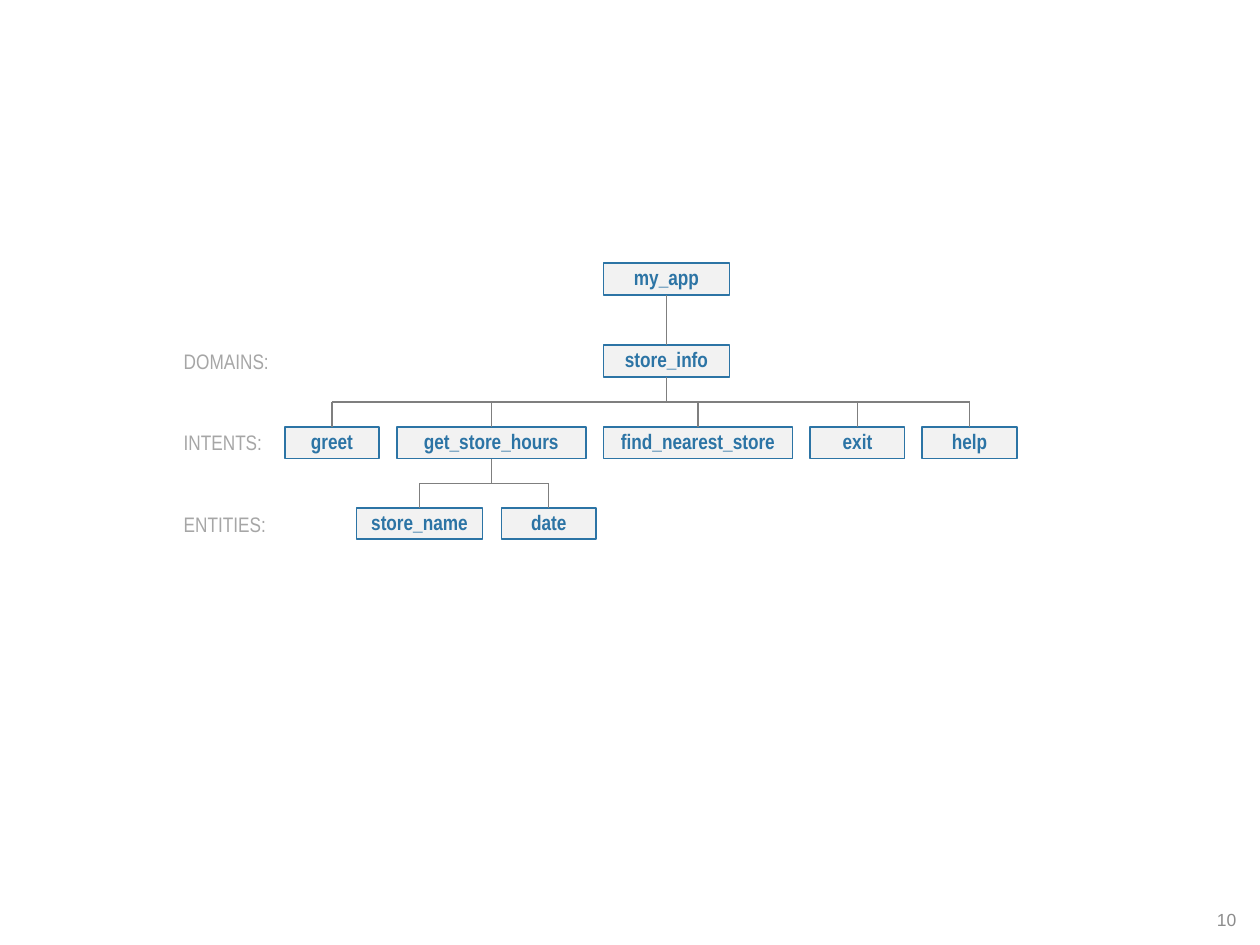
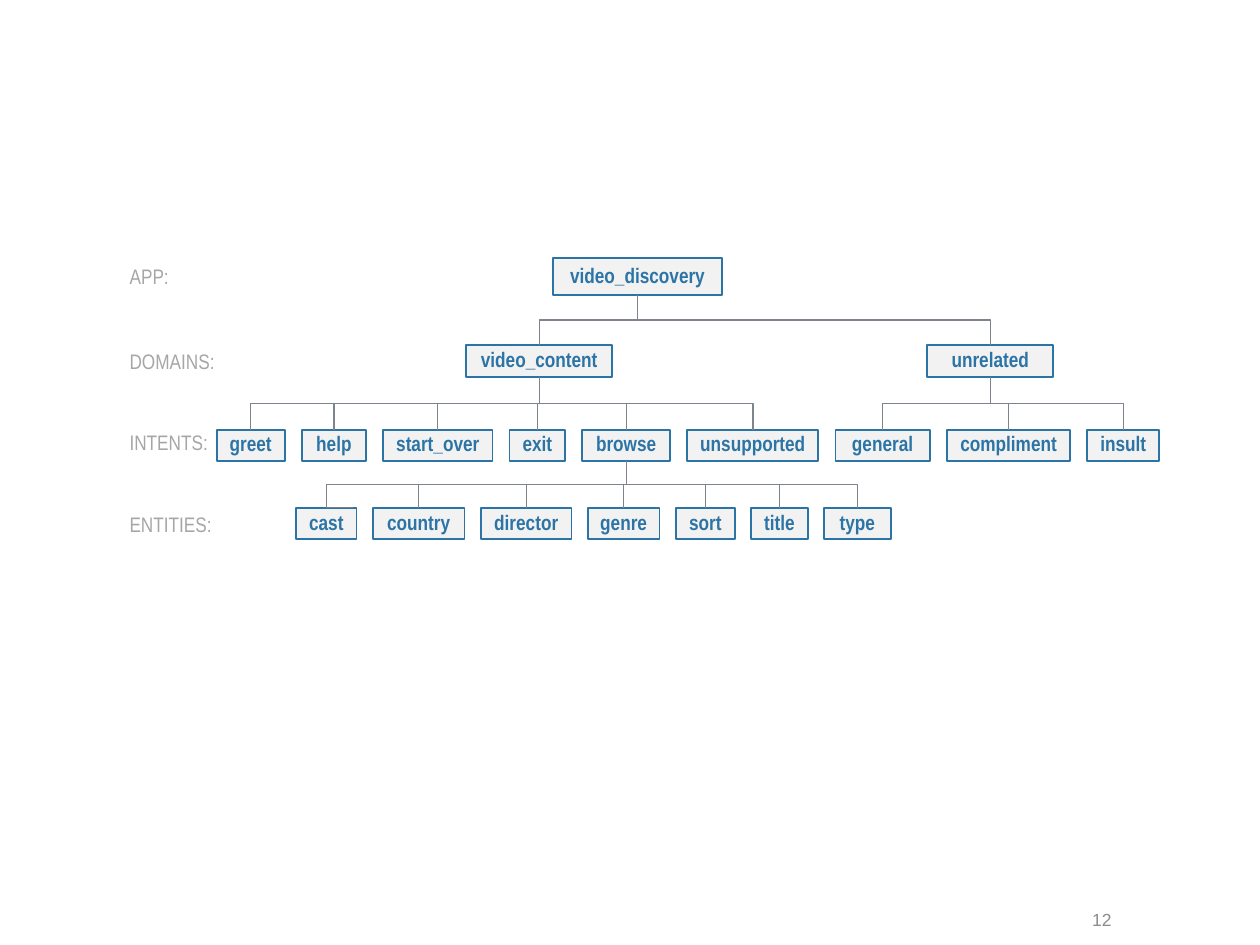
from pptx import Presentation
from pptx.dml.color import RGBColor
from pptx.enum.shapes import MSO_CONNECTOR as Link, MSO_SHAPE as Shape
from pptx.enum.text import MSO_ANCHOR as Anchor, PP_ALIGN as Align
from pptx.oxml.ns import qn
from pptx.util import Inches, Pt
from lxml import etree

BLUE = RGBColor(0x2C, 0x74, 0xA5)
PALE = RGBColor(0xF2, 0xF2, 0xF2)
GRAY = RGBColor(0x7F, 0x7F, 0x7F)
SLATE = RGBColor(0x7E, 0x84, 0x8D)
LABEL = RGBColor(0xA6, 0xA6, 0xA6)
FOOT = RGBColor(0x8C, 0x8C, 0x8C)
WIDTHS = {"APP:": 0.52, "DOMAINS:": 0.88, "INTENTS:": 0.83, "ENTITIES:": 0.86}


def write(shape, text, size=12, font="Arial Narrow", color=LABEL, bold=False,
          align=Align.LEFT, wrap=True):
    """Put one formatted line of text in a shape."""
    frame = shape.text_frame
    frame.word_wrap = wrap
    frame.vertical_anchor = Anchor.MIDDLE
    para = frame.paragraphs[0]
    para.alignment = align
    run = para.add_run()
    run.text = text
    run.font.size, run.font.name, run.font.bold = Pt(size), font, bold
    run.font.color.rgb = color


def node(slide, text, left, top, width, height):
    """Draw one named box of a tree."""
    box = slide.shapes.add_shape(Shape.RECTANGLE, Inches(left), Inches(top),
                                 Inches(width), Inches(height))
    box.shadow.inherit = False
    box.fill.solid()
    box.fill.fore_color.rgb = PALE
    box.line.color.rgb = BLUE
    box.line.width = Pt(1)
    frame = box.text_frame
    frame.margin_top, frame.margin_bottom = 0, Inches(0.03)
    write(box, text, color=BLUE, bold=True, align=Align.CENTER, wrap=False)
    return box


def row(slide, left, top, width, items, height=0.25):
    """Spread boxes over a width with equal gaps."""
    gap = (width - sum(items.values())) / max(len(items) - 1, 1)
    boxes = []
    for text, size in items.items():
        boxes.append(node(slide, text, left, top, size, height))
        left += size + gap
    return boxes


def labels(slide, left, top, tops):
    """Name the levels of a tree down its left side."""
    for text, down in tops.items():
        box = slide.shapes.add_textbox(Inches(left), Inches(top + down),
                                       Inches(WIDTHS[text]), Inches(0.3))
        write(box, text, wrap=False)


def wire(slide, start, end, color, kind=Link.STRAIGHT):
    """Draw a thin connector without a shadow."""
    line = slide.shapes.add_connector(kind, *start, *end)
    line.line.color.rgb = color
    line.line.width = Pt(0.75)
    etree.SubElement(line._element.spPr, qn("a:effectLst"))
    return line


def foot(box):
    """Find the middle of a box's lower side."""
    return box.left + box.width // 2, box.top + box.height


def head(box):
    """Find the middle of a box's upper side."""
    return box.left + box.width // 2, box.top


def join(slide, upper, lower):
    """Link two stacked boxes with a straight line."""
    line = wire(slide, foot(upper), head(lower), GRAY)
    line.begin_connect(upper, 2)
    line.end_connect(lower, 0)


def comb(slide, upper, kids):
    """Link a box to its children with a trunk, a bar and drops."""
    x, y = foot(upper)
    mid = (y + kids[0].top) // 2
    wire(slide, (x, y), (x, mid), GRAY).begin_connect(upper, 2)
    wire(slide, (head(kids[0])[0], mid), (head(kids[-1])[0], mid), GRAY)
    for kid in kids:
        drop = wire(slide, (head(kid)[0], mid), head(kid), GRAY)
        drop.end_connect(kid, 0)


def fan(slide, upper, kids):
    """Link a box to its children with elbow connectors."""
    for kid in kids:
        (x, y), (end, low) = foot(upper), head(kid)
        line = wire(slide, (x, y), (end, low), SLATE, Link.ELBOW)
        line.begin_connect(upper, 2)
        line.end_connect(kid, 0)
        tall, wide = low - y, abs(end - x)
        line.left, line.top = (x + end - tall) // 2, (y + low - wide) // 2
        line.width, line.height = tall, wide
        form = line._element.spPr.find(qn("a:xfrm"))
        form.set("rot", str((270 if end > x else 90) * 60000))
        form.set("flipH", "1" if end > x else "0")


def number(slide, text, align):
    """Set the page number at the lower right."""
    box = slide.shapes.add_textbox(Inches(7.58), Inches(7.1),
                                   Inches(2.33), Inches(0.4))
    write(box, text, size=10, font="Arial", color=FOOT, align=align)


def store(slide, left, top):
    """Draw the tree of the store app."""
    labels(slide, left, top,
           {"DOMAINS:": 0.63, "INTENTS:": 1.27, "ENTITIES:": 1.92})
    app = node(slide, "my_app", left + 3.43, top, 1, 0.25)
    info = node(slide, "store_info", left + 3.43, top + 0.65, 1, 0.25)
    goals = row(slide, left + 0.9, top + 1.3, 5.81, {
        "greet": 0.75, "get_store_hours": 1.5, "find_nearest_store": 1.5,
        "exit": 0.75, "help": 0.75})
    parts = row(slide, left + 1.47, top + 1.94, 1.9,
                {"store_name": 1, "date": 0.75})
    join(slide, app, info)
    comb(slide, info, goals)
    comb(slide, goals[1], parts)


def video(slide, left, top):
    """Draw the tree of the video app."""
    labels(slide, left, top, {"APP:": 0, "DOMAINS:": 0.68,
                              "INTENTS:": 1.32, "ENTITIES:": 1.97})
    app = node(slide, "video_discovery", left + 3.46, top + 0.01, 1.34, 0.29)
    areas = row(slide, left + 2.77, top + 0.7, 4.66,
                {"video_content": 1.16, "unrelated": 1})
    goals = row(slide, left + 0.79, top + 1.37, 7.48, {
        "greet": 0.54, "help": 0.51, "start_over": 0.87, "exit": 0.44,
        "browse": 0.7, "unsupported": 1.04, "general": 0.75,
        "compliment": 0.98, "insult": 0.57})
    parts = row(slide, left + 1.42, top + 1.99, 4.72, {
        "cast": 0.48, "country": 0.73, "director": 0.72, "genre": 0.57,
        "sort": 0.47, "title": 0.45, "type": 0.53})
    x, y = head(parts[0])
    wire(slide, (x + Inches(0.21), y), (x, y), GRAY).end_connect(parts[0], 0)
    fan(slide, app, areas)
    fan(slide, areas[0], goals[:6])
    fan(slide, areas[1], goals[6:])
    fan(slide, goals[4], parts)


def main():
    """Build both slides and save the deck."""
    deck = Presentation()
    deck.slide_width, deck.slide_height = Inches(10), Inches(7.5)
    blank = deck.slide_layouts[6]
    first = deck.slides.add_slide(blank)
    store(first, 1.36, 2.09)
    number(first, "10", Align.RIGHT)
    second = deck.slides.add_slide(blank)
    video(second, 0.93, 2.04)
    number(second, "12", Align.CENTER)
    deck.save("out.pptx")


if __name__ == "__main__":
    main()
